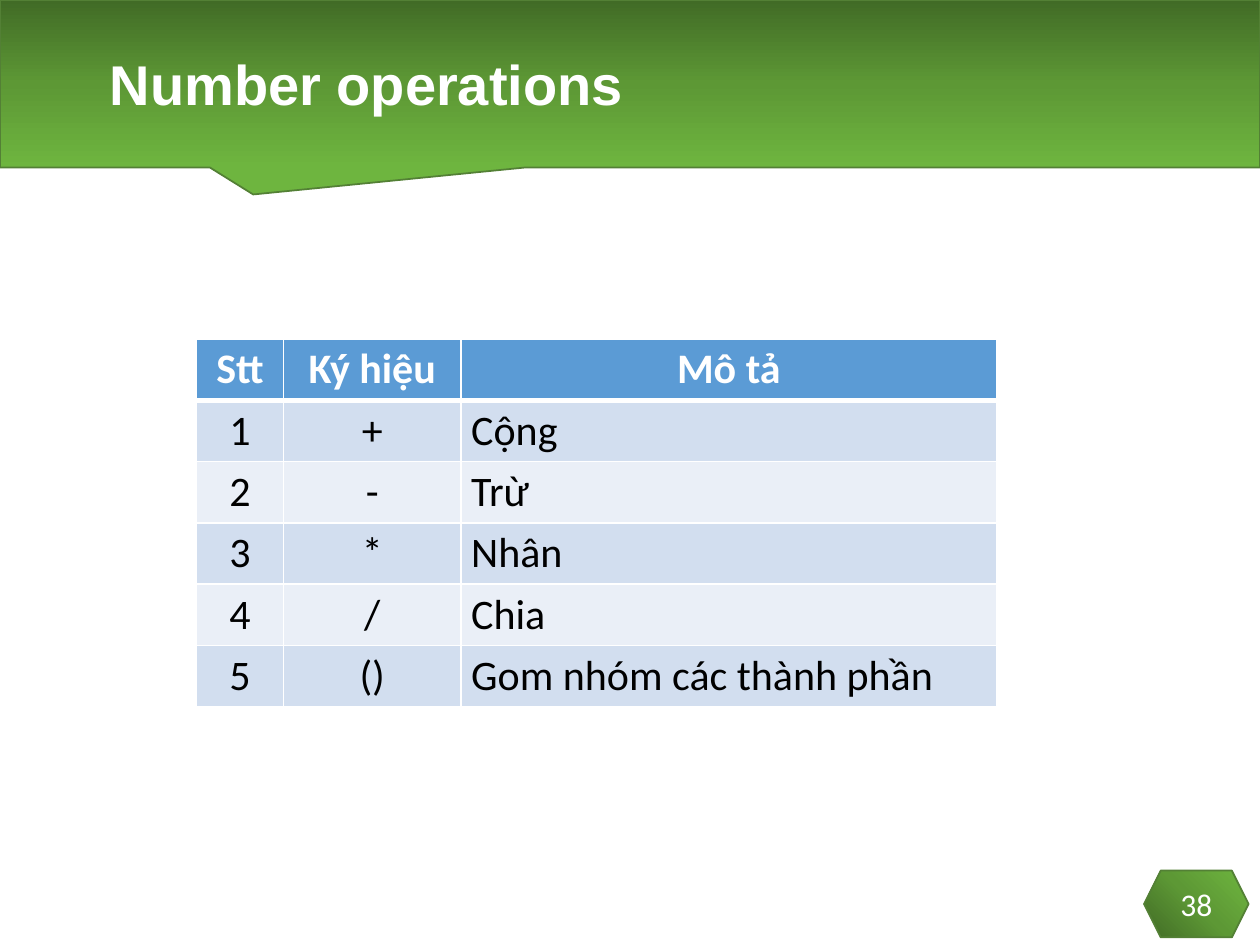
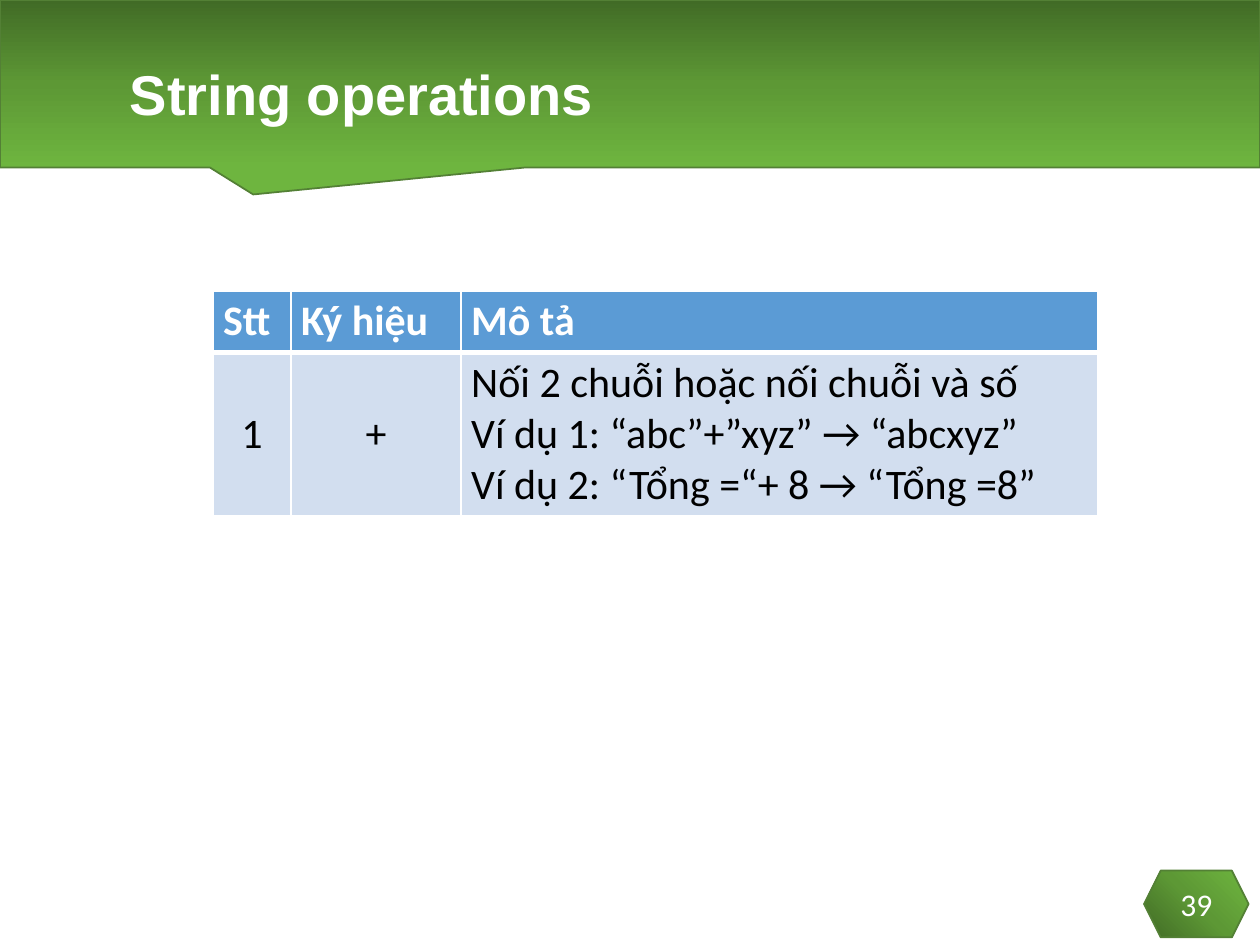
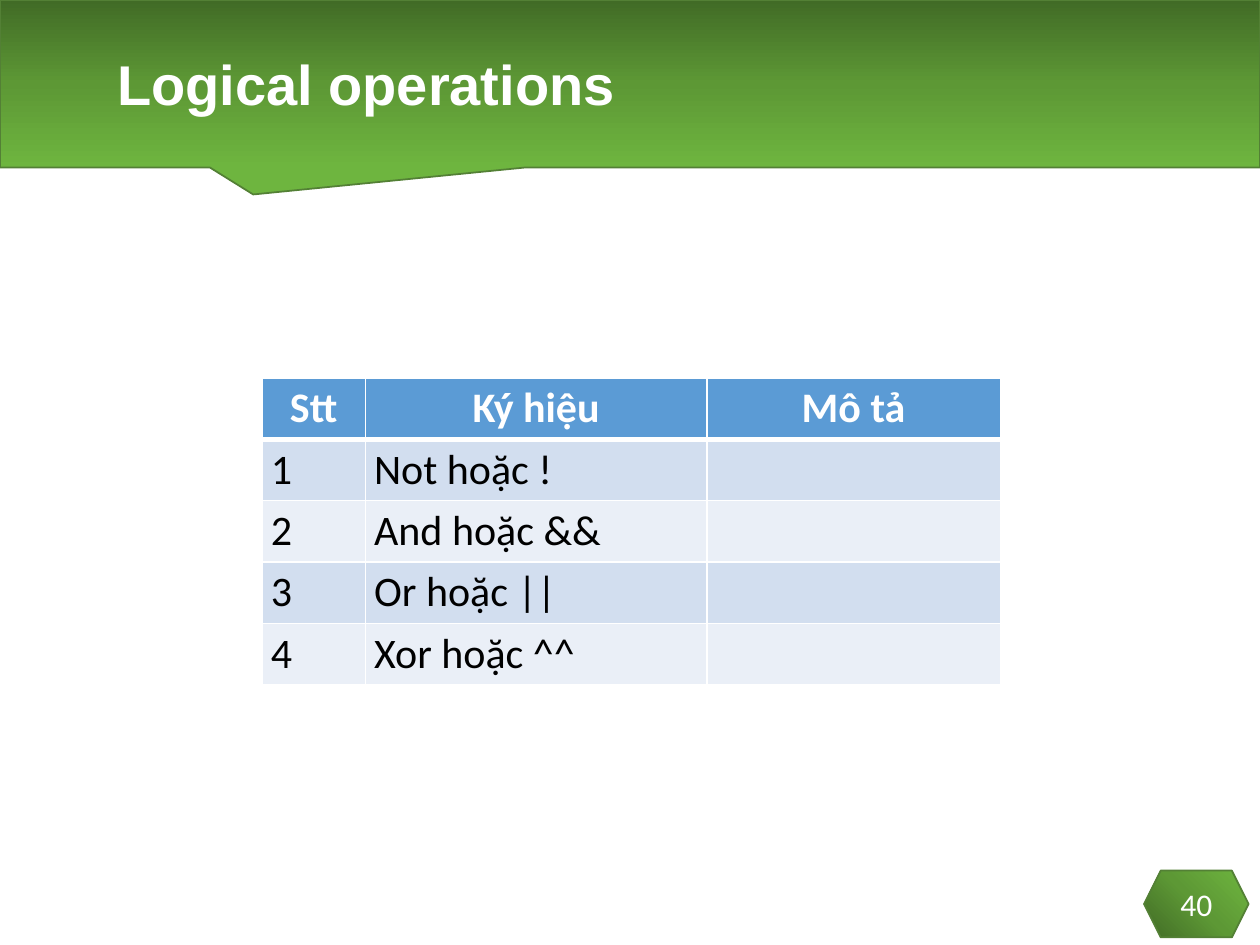
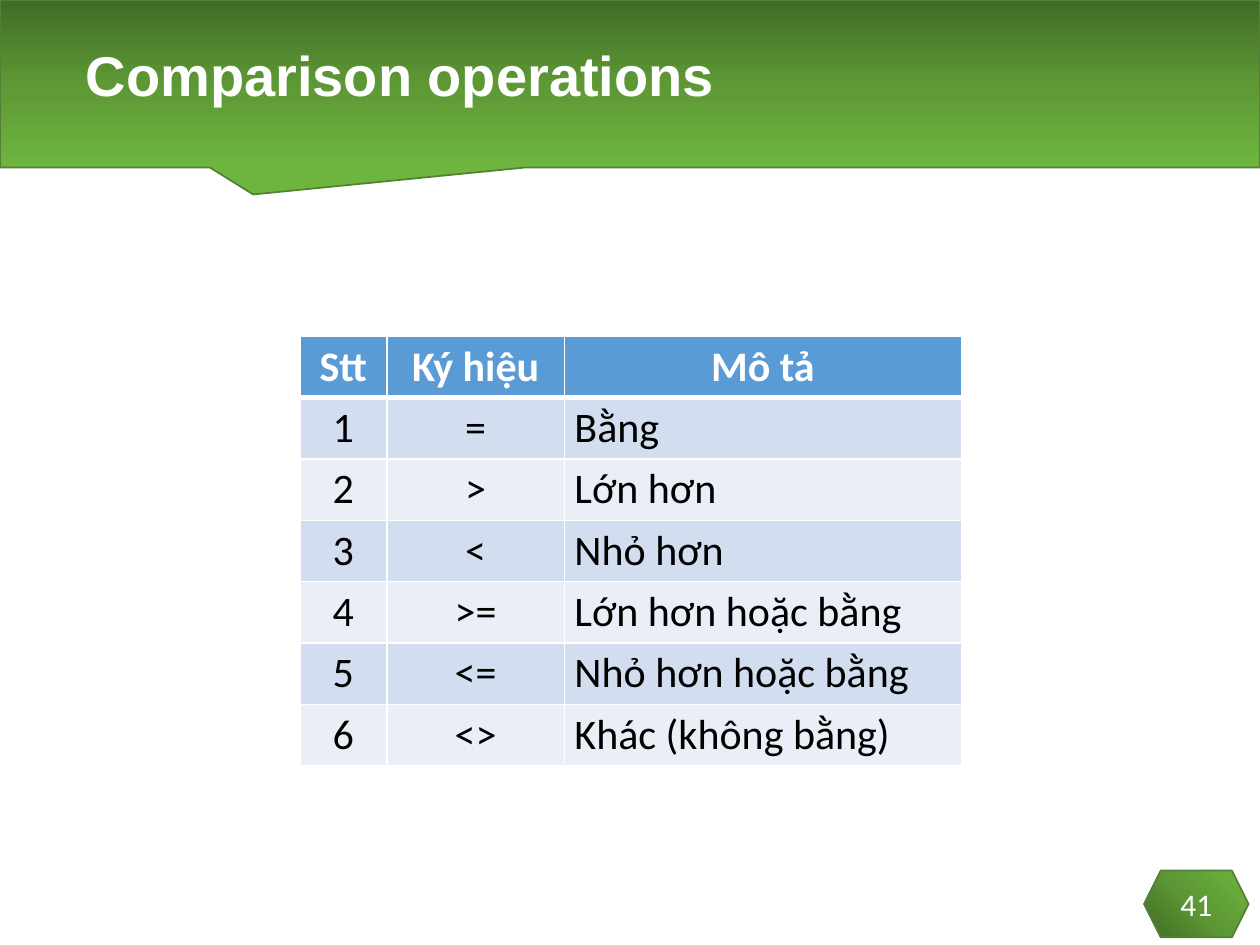
from dataclasses import dataclass

from pptx import Presentation
from pptx.dml.color import RGBColor
from pptx.enum.shapes import MSO_SHAPE as Preset
from pptx.enum.text import MSO_ANCHOR as Anchor, MSO_AUTO_SIZE as AutoSize, PP_ALIGN as Align
from pptx.oxml import parse_xml
from pptx.oxml.ns import nsdecls, qn
from pptx.util import Emu, Inches, Pt

WIDTH, HEIGHT = Inches(10), Inches(7.5)
COLUMN, ROW = WIDTH / 100, HEIGHT / 75

WHITE, BLACK, OUTLINE = "FFFFFF", "000000", "538035"
HEADER_FILL, BAND_FILLS = "5B9BD5", ("D2DEEF", "EAEFF7")
GREENS = ((0, "416B26"), (50, "5D9835"), (100, "6EB53F"))
DOWNWARD = '<a:lin ang="5400000" scaled="0"/>'
FROM_CORNER = '<a:path path="circle"><a:fillToRect t="100000" r="100000"/></a:path>'
TITLE_FONT, BODY_FONT = "Arial", "Calibri"
TITLE_INDENT = 2.6
ROW_HEIGHT = 4.76
FIRST_NUMBER = 38
HEADINGS = ("Stt", "Ký hiệu", "Mô tả")


@dataclass(frozen=True)
class Box:
    left: float
    top: float
    width: float
    height: float

    def place(self) -> tuple:
        return across(self.left), down(self.top), across(self.width), down(self.height)


@dataclass(frozen=True)
class OperatorTable:
    left: float
    top: float
    columns: tuple
    entries: tuple
    centered_columns: int = 2
    middle_columns: int = 0
    header_align: Align = Align.CENTER
    body_height: float = ROW_HEIGHT
    side_inset: float = 0.8


@dataclass(frozen=True)
class OperatorSlide:
    title: str
    title_box: Box
    table: OperatorTable


BAND = Box(0, 0, 100, 13.3)
BADGE = Box(90.8, 69.1, 8.3, 5.3)

SLIDES = (
    OperatorSlide(
        "Number operations", Box(7.7, 1.7, 79.4, 10.5),
        OperatorTable(15.6, 26.9, (6.9, 14.1, 42.5), (
            ("+", "Cộng"), ("-", "Trừ"), ("*", "Nhân"), ("/", "Chia"),
            ("()", "Gom nhóm các thành phần"),
        )),
    ),
    OperatorSlide(
        "String operations", Box(9.3, 2.5, 77.5, 10.5),
        OperatorTable(16.9, 23.1, (6.2, 13.5, 50.5), (
            ("+", "Nối 2 chuỗi hoặc nối chuỗi và số\n"
                  "Ví dụ 1: “abc”+”xyz” → “abcxyz”\n"
                  "Ví dụ 2: “Tổng =“+ 8 → “Tổng =8”"),
        ), middle_columns=2, header_align=Align.LEFT, body_height=12.7),
    ),
    OperatorSlide(
        "Logical operations", Box(8.3, 1.7, 79.4, 10.5),
        OperatorTable(20.8, 30, (8.2, 27.1, 23.3), (
            ("Not hoặc !", ""), ("And hoặc &&", ""), ("Or hoặc ||", ""), ("Xor hoặc ^^", ""),
        ), centered_columns=0, middle_columns=1, side_inset=0.7),
    ),
    OperatorSlide(
        "Comparison operations", Box(5.8, 0.8, 88.3, 10.8),
        OperatorTable(23.8, 26.7, (6.9, 14.1, 31.5), (
            ("=", "Bằng"), (">", "Lớn hơn"), ("<", "Nhỏ hơn"),
            (">=", "Lớn hơn hoặc bằng"), ("<=", "Nhỏ hơn hoặc bằng"),
            ("<>", "Khác (không bằng)"),
        )),
    ),
)


def across(columns: float) -> Emu:
    return Emu(round(columns * COLUMN))


def down(rows: float) -> Emu:
    return Emu(round(rows * ROW))


def color(code: str) -> RGBColor:
    return RGBColor.from_string(code)


def format_text(text_frame, font_name: str, size: float, code: str, align, bold=False) -> None:
    for paragraph in text_frame.paragraphs:
        paragraph.alignment = align
        paragraph.font.size = Pt(size)
        for run in paragraph.runs:
            run.font.name = font_name
            run.font.size = Pt(size)
            run.font.bold = bold
            run.font.color.rgb = color(code)


def add_green_shape(slide, preset, box: Box, direction: str):
    shape = slide.shapes.add_shape(preset, *box.place())
    shape.shadow.inherit = False
    shape.line.color.rgb = color(OUTLINE)
    shape.line.width = Pt(1)
    shape.fill.gradient()
    stops = "".join(
        f'<a:gs pos="{share * 1000}"><a:srgbClr val="{code}"/></a:gs>' for share, code in GREENS
    )
    gradient = parse_xml(
        f'<a:gradFill {nsdecls("a")} rotWithShape="1"><a:gsLst>{stops}</a:gsLst>{direction}</a:gradFill>'
    )
    properties = shape.element.spPr
    properties.replace(properties.find(qn("a:gradFill")), gradient)
    return shape


def add_band(slide) -> None:
    band = add_green_shape(slide, Preset.RECTANGULAR_CALLOUT, BAND, DOWNWARD)
    band.adjustments[0] = -0.299
    band.adjustments[1] = 0.661


def add_badge(slide, number: int) -> None:
    badge = add_green_shape(slide, Preset.HEXAGON, BADGE, FROM_CORNER)
    badge.text_frame.text = str(number)
    badge.text_frame.vertical_anchor = Anchor.MIDDLE
    format_text(badge.text_frame, BODY_FONT, 18, WHITE, Align.CENTER)


def set_borders(cell, top: float, bottom: float) -> None:
    properties = cell._tc.get_or_add_tcPr()
    for side, points in (("L", 1), ("R", 1), ("T", top), ("B", bottom)):
        properties.append(parse_xml(
            f'<a:ln{side} {nsdecls("a")} w="{Pt(points)}">'
            f'<a:solidFill><a:srgbClr val="{WHITE}"/></a:solidFill></a:ln{side}>'
        ))


def fill_cell(cell, text: str, row: int, column: int, layout: OperatorTable) -> None:
    is_header = row == 0
    set_borders(cell, 3 if row == 1 else 1, 3 if is_header else 1)
    cell.fill.solid()
    cell.fill.fore_color.rgb = color(HEADER_FILL if is_header else BAND_FILLS[(row - 1) % 2])
    cell.margin_left = cell.margin_right = across(layout.side_inset)
    cell.margin_top = cell.margin_bottom = down(0.4)
    is_middle = not is_header and column < layout.middle_columns
    cell.vertical_anchor = Anchor.MIDDLE if is_middle else Anchor.TOP
    body_align = Align.CENTER if column < layout.centered_columns else Align.LEFT
    cell.text_frame.text = text
    format_text(cell.text_frame, BODY_FONT, 24, WHITE if is_header else BLACK,
                layout.header_align if is_header else body_align, is_header)


def add_operator_table(slide, layout: OperatorTable) -> None:
    rows = [HEADINGS] + [(str(index), *entry) for index, entry in enumerate(layout.entries, 1)]
    heights = [ROW_HEIGHT] + [layout.body_height] * len(layout.entries)
    box = Box(layout.left, layout.top, sum(layout.columns), sum(heights))
    table = slide.shapes.add_table(len(rows), len(HEADINGS), *box.place()).table
    table.horz_banding = False
    for column, width in zip(table.columns, layout.columns):
        column.width = across(width)
    for row_index, (texts, height) in enumerate(zip(rows, heights)):
        table.rows[row_index].height = down(height)
        for column_index, text in enumerate(texts):
            fill_cell(table.cell(row_index, column_index), text, row_index, column_index, layout)


def set_title(slide, text: str, box: Box) -> None:
    title = slide.shapes.title
    title.left, title.top, title.width, title.height = box.place()
    text_frame = title.text_frame
    text_frame.text = text
    text_frame.word_wrap = True
    text_frame.auto_size = AutoSize.NONE
    text_frame.vertical_anchor = Anchor.MIDDLE
    format_text(text_frame, TITLE_FONT, 32, WHITE, Align.LEFT, True)
    paragraph = text_frame.paragraphs[0]
    paragraph.line_spacing = 0.9
    properties = paragraph._p.get_or_add_pPr()
    properties.set("marL", str(across(TITLE_INDENT)))
    properties.set("indent", str(-across(TITLE_INDENT)))
    title.element.getparent().append(title.element)


def main() -> None:
    presentation = Presentation()
    presentation.slide_width, presentation.slide_height = WIDTH, HEIGHT
    title_only = presentation.slide_layouts[5]
    for number, content in enumerate(SLIDES, FIRST_NUMBER):
        slide = presentation.slides.add_slide(title_only)
        add_band(slide)
        add_badge(slide, number)
        add_operator_table(slide, content.table)
        set_title(slide, content.title, content.title_box)
    presentation.save("out.pptx")


if __name__ == "__main__":
    main()
